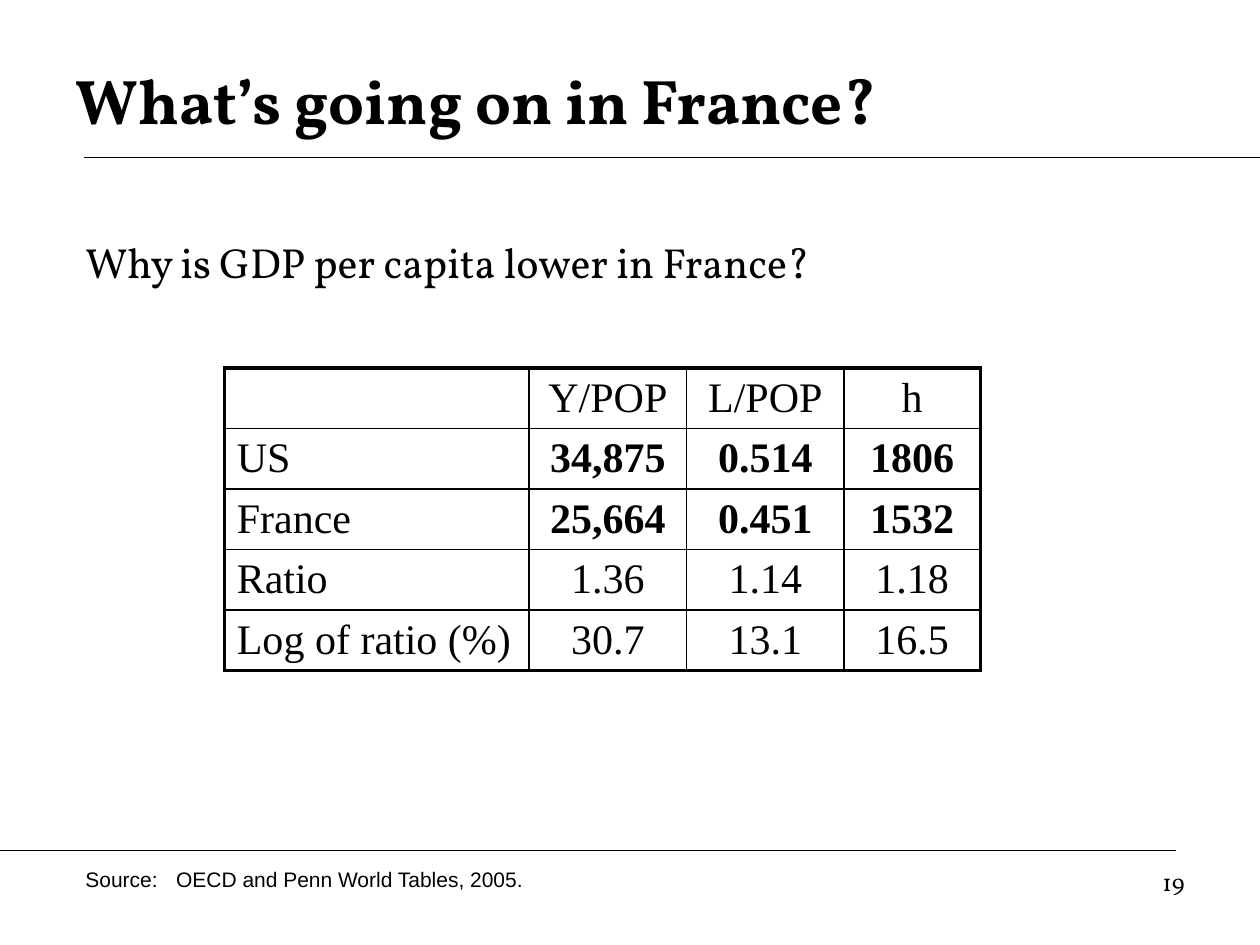
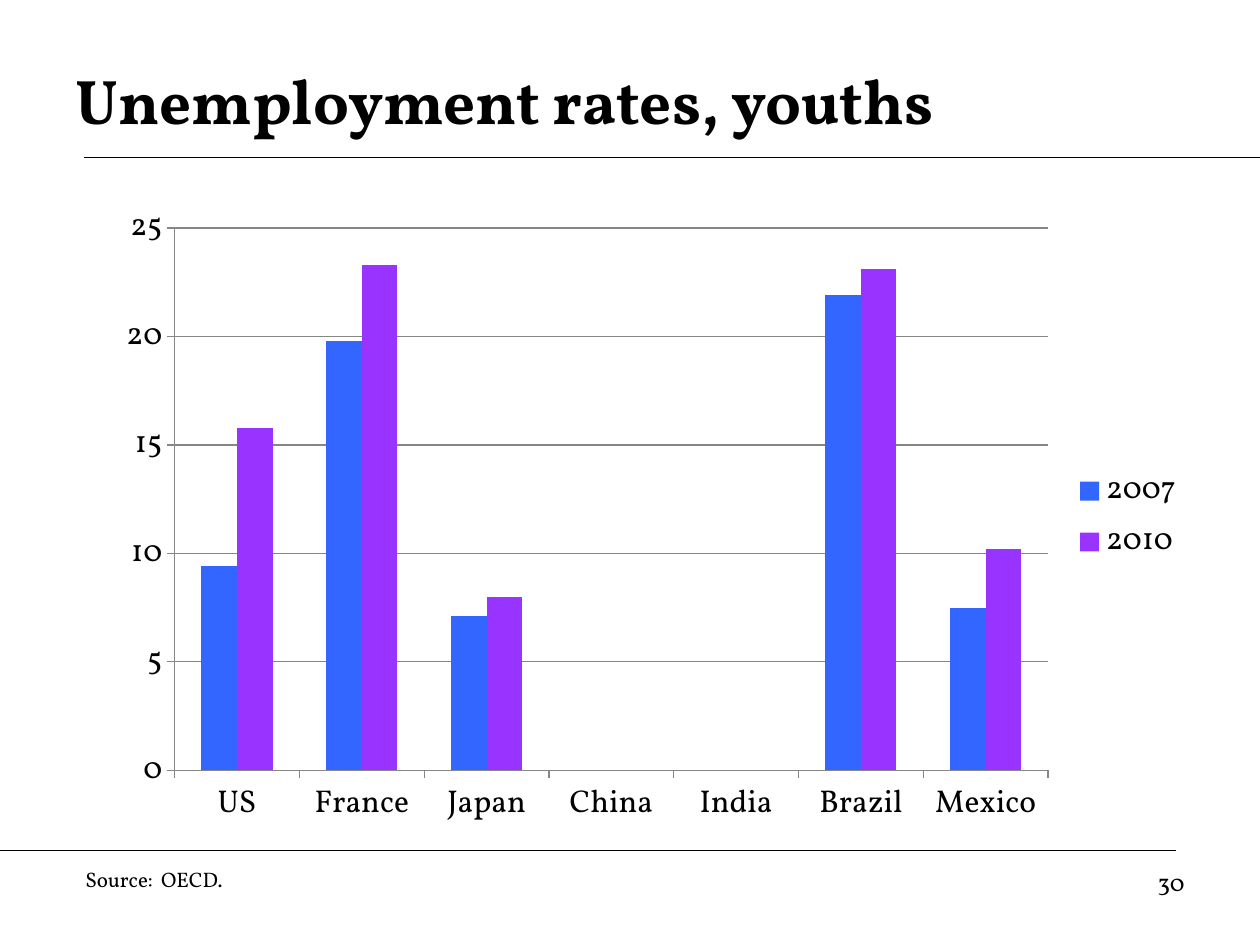
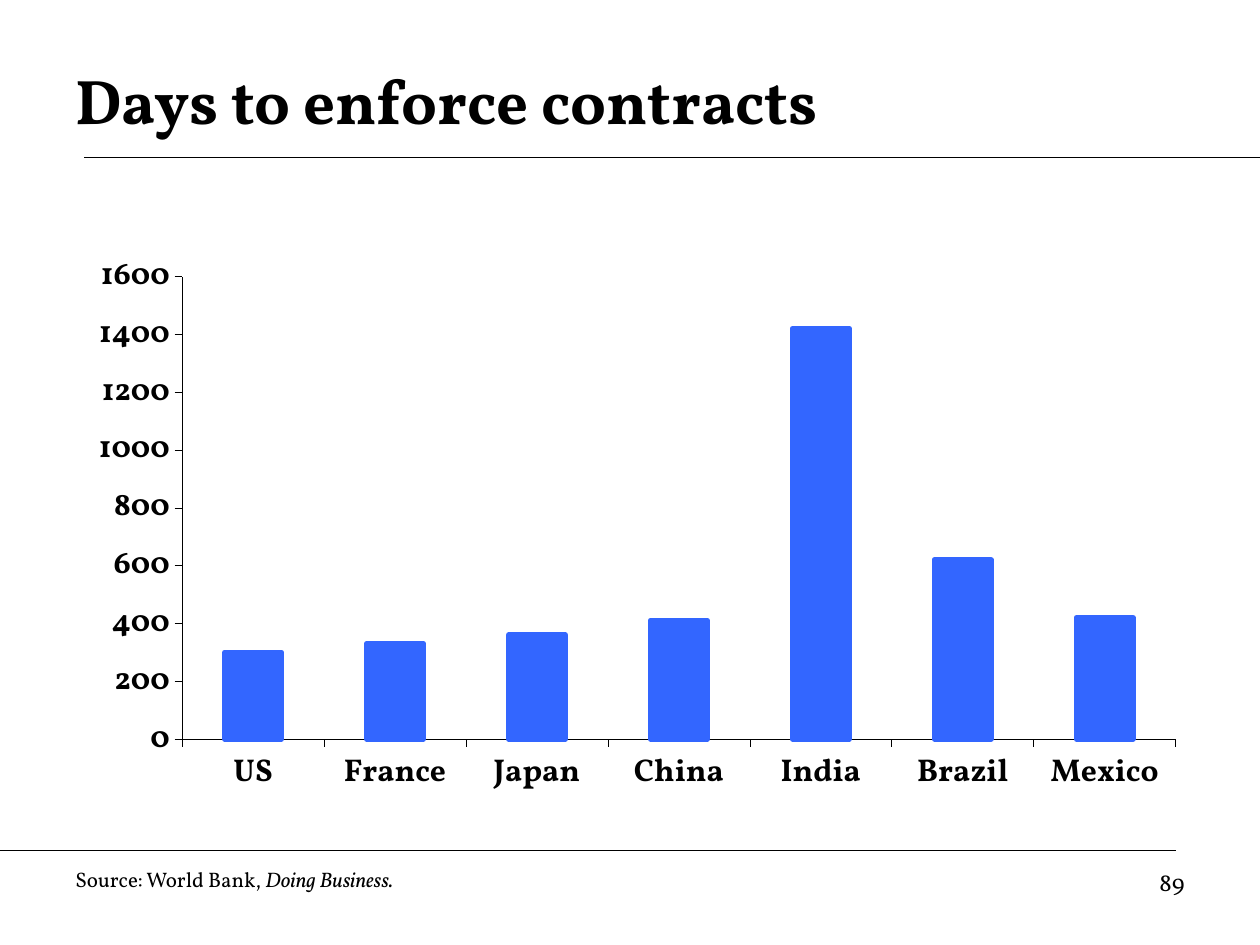
from dataclasses import dataclass
from typing import NamedTuple

from lxml import etree
from pptx import Presentation
from pptx import util as u
from pptx.chart.data import CategoryChartData
from pptx.dml.color import RGBColor
from pptx.enum import chart as charts
from pptx.enum import shapes, text
from pptx.oxml.ns import qn


@dataclass(frozen=True)
class Theme:
    """Colours, fonts and type sizes of the deck."""
    ink: str = "000000"
    grid: str = "868686"
    blue: str = "3366FF"
    purple: str = "9933FF"
    serif: str = "Vollkorn"
    sans: str = "Arial"
    figures: str = "Times New Roman"
    title: int = 36
    body: int = 24
    axis: int = 18
    number: int = 14
    source: int = 12


class Box(NamedTuple):
    """A rectangle in inches."""
    left: float
    top: float
    width: float
    height: float

    def lengths(self):
        """Return the four sides as lengths."""
        return [u.Inches(side) for side in self]

    def inner(self, left, top, width, height):
        """Return a box placed relative to this one."""
        return Box(self.left + left, self.top + top, width, height)


THEME = Theme()
PAGE = Box(0, 0, 10, 7.5)
COUNTRIES = ["US", "France", "Japan", "China", "India", "Brazil", "Mexico"]
GDP_ROWS = [
    ["", "Y/POP", "L/POP", "h"],
    ["US", "34,875", "0.514", "1806"],
    ["France", "25,664", "0.451", "1532"],
    ["Ratio", "1.36", "1.14", "1.18"],
    ["Log of ratio (%)", "30.7", "13.1", "16.5"],
]
GDP_WIDTHS = [2.42, 1.25, 1.25, 1.08]


def style_font(font, size, face=THEME.serif, bold=False, italic=False):
    """Set face, size, weight and colour of a font."""
    font.name = face
    font.size = u.Pt(size)
    font.bold = bold
    font.italic = italic
    font.color.rgb = RGBColor.from_string(THEME.ink)


def style_line(line, colour, points):
    """Give a line a solid colour and a width."""
    line.color.rgb = RGBColor.from_string(colour)
    line.width = u.Pt(points)


def add_text(slide, box, runs, size, face=THEME.serif, bold=False, align=text.PP_ALIGN.LEFT,
             anchor=text.MSO_ANCHOR.TOP, tab=None):
    """Write one paragraph from (words, italic) runs, with an optional tab stop."""
    frame = slide.shapes.add_textbox(*box.lengths()).text_frame
    frame.word_wrap = True
    frame.vertical_anchor = anchor
    paragraph = frame.paragraphs[0]
    paragraph.alignment = align
    if tab:
        stops = etree.SubElement(paragraph._p.get_or_add_pPr(), qn("a:tabLst"))
        etree.SubElement(stops, qn("a:tab"), pos=str(u.Inches(tab)), algn="l")
    for words, italic in runs:
        run = paragraph.add_run()
        run.text = words
        style_font(run.font, size, face, bold, italic)


def add_rule(slide, left, right, top):
    """Draw a thin horizontal rule."""
    rule = slide.shapes.add_connector(shapes.MSO_CONNECTOR.STRAIGHT, u.Inches(left),
                                      u.Inches(top), u.Inches(right), u.Inches(top))
    style_line(rule.line, THEME.ink, 0.75)
    etree.SubElement(rule._element.spPr, qn("a:effectLst"))


def add_header(slide, box, title):
    """Place the title and the rule that runs off to the right."""
    add_rule(slide, box.left + 0.67, box.left + box.width, box.top + 1.25)
    add_text(slide, box.inner(0.5, 0.33, 9, 0.92), [(title, False)], THEME.title, bold=True,
             anchor=text.MSO_ANCHOR.MIDDLE)


def add_footer(slide, box, number, source, indent=0.58, face=THEME.serif, tab=None):
    """Place the lower rule, the source and the page number."""
    add_rule(slide, box.left, box.left + 9.33, box.top)
    add_text(slide, box.inner(indent, 0.08, 6, 0.3), source, THEME.source, face, tab=tab)
    add_text(slide, box.inner(7.17, 0.08, 2.33, 0.52), [(number, False)], THEME.number,
             align=text.PP_ALIGN.RIGHT)


def add_page(deck, title, number, source, **footer):
    """Add a slide with its header and footer."""
    slide = deck.slides.add_slide(deck.slide_layouts[6])
    add_header(slide, PAGE, title)
    add_footer(slide, PAGE.inner(0, 6.75, 10, 0.75), number, source, **footer)
    return slide


def add_borders(cell, outer):
    """Draw the cell's borders, heavy on the sides named in outer."""
    properties = cell._tc.get_or_add_tcPr()
    for place, side in enumerate("LRTB"):
        width = u.Pt(2.25 if side in outer else 1)
        line = etree.Element(qn(f"a:ln{side}"), w=str(width))
        fill = etree.SubElement(line, qn("a:solidFill"))
        etree.SubElement(fill, qn("a:srgbClr"), val=THEME.ink)
        properties.insert(place, line)


def add_gdp_table(slide, box, rows, widths):
    """Build the boxed table with bold country figures."""
    last_row, last_column = len(rows) - 1, len(widths) - 1
    table = slide.shapes.add_table(len(rows), len(widths), *box.lengths()).table
    table.first_row = table.horz_banding = False
    for column, width in zip(table.columns, widths):
        column.width = u.Inches(width)
    for r, row in enumerate(rows):
        table.rows[r].height = u.Inches(box.height / len(rows))
        for c, words in enumerate(row):
            cell = table.cell(r, c)
            cell.fill.background()
            cell.vertical_anchor = text.MSO_ANCHOR.MIDDLE
            cell.margin_top = cell.margin_bottom = u.Inches(0.04)
            edges = {"L": c == 0, "R": c == last_column, "T": r == 0, "B": r == last_row}
            add_borders(cell, [side for side, outside in edges.items() if outside])
            paragraph = cell.text_frame.paragraphs[0]
            paragraph.alignment = text.PP_ALIGN.CENTER if c else text.PP_ALIGN.LEFT
            if words:
                run = paragraph.add_run()
                run.text = words
                style_font(run.font, THEME.body, THEME.figures, bold=c > 0 and r in (1, 2))


def add_columns(slide, box, series, top, step, axis_line, bold=False, grid=False, outline=None):
    """Build a clustered column chart by country from (name, values, colour) series."""
    data = CategoryChartData()
    data.categories = COUNTRIES
    for name, values, _ in series:
        data.add_series(name, values)
    chart = slide.shapes.add_chart(charts.XL_CHART_TYPE.COLUMN_CLUSTERED, *box.lengths(),
                                   data).chart
    chart.has_title = False
    style_font(chart.font, THEME.axis, bold=bold)
    chart.has_legend = len(series) > 1
    if chart.has_legend:
        chart.legend.position = charts.XL_LEGEND_POSITION.RIGHT
        chart.legend.include_in_layout = False
    for axis in (chart.category_axis, chart.value_axis):
        axis.major_tick_mark = charts.XL_TICK_MARK.OUTSIDE
        axis.minor_tick_mark = charts.XL_TICK_MARK.NONE
        style_line(axis.format.line, *axis_line)
        style_font(axis.tick_labels.font, THEME.axis, bold=bold)
    scale = chart.value_axis
    scale.minimum_scale, scale.maximum_scale, scale.major_unit = 0, top, step
    scale.has_major_gridlines = grid
    if grid:
        style_line(scale.major_gridlines.format.line, *axis_line)
    plot = chart.plots[0]
    plot.vary_by_categories = False
    plot.gap_width = 150
    plot.overlap = 0
    for columns, (_, _, colour) in zip(plot.series, series):
        columns.format.fill.solid()
        columns.format.fill.fore_color.rgb = RGBColor.from_string(colour)
        if outline:
            style_line(columns.format.line, colour, outline)
    return chart


def set_plot_area(chart, left, top, width, height):
    """Fix the inner plot area as fractions of the chart."""
    area = chart.element.xpath("c:chart/c:plotArea")[0]
    for automatic in area.findall(qn("c:layout")):
        area.remove(automatic)
    layout = etree.Element(qn("c:layout"))
    manual = etree.SubElement(layout, qn("c:manualLayout"))
    settings = {"layoutTarget": "inner", "xMode": "edge", "yMode": "edge",
                "x": left, "y": top, "w": width, "h": height}
    for tag, value in settings.items():
        etree.SubElement(manual, qn(f"c:{tag}"), val=str(value))
    area.insert(0, layout)


def build_france(deck):
    """Compare GDP per capita in the US and France."""
    slide = add_page(deck, "What’s going on in France?", "19",
                     [("Source:\tOECD and Penn World Tables, 2005.", False)],
                     face=THEME.sans, tab=0.72)
    add_text(slide, PAGE.inner(0.58, 1.83, 6.58, 0.5),
             [("Why is GDP per capita lower in France?", False)], THEME.body)
    add_gdp_table(slide, PAGE.inner(1.78, 2.92, 6, 2.35), GDP_ROWS, GDP_WIDTHS)


def build_unemployment(deck):
    """Chart youth unemployment in two years."""
    slide = add_page(deck, "Unemployment rates, youths", "30",
                     [("Source:\tOECD.", False)], tab=0.6)
    rates = [("2007", [9.4, 19.8, 7.1, None, None, 21.9, 7.5], THEME.blue),
             ("2010", [15.8, 23.3, 8, None, None, 23.1, 10.2], THEME.purple)]
    add_columns(slide, PAGE.inner(0.83, 1.53, 8.67, 5.14), rates, 25, 5,
                (THEME.grid, 0.75), grid=True)


def build_contracts(deck):
    """Chart the days needed to enforce a contract."""
    slide = add_page(deck, "Days to enforce contracts", "89",
                     [("Source: World Bank, ", False), ("Doing Business.", True)], indent=0.5)
    days = [("Series 1", [300, 330, 360, 410, 1420, 620, 420], THEME.blue)]
    chart = add_columns(slide, PAGE.inner(0.56, 1.81, 8.86, 4.83), days, 1600, 200,
                        (THEME.ink, 0.25), bold=True, outline=3)
    set_plot_area(chart, 0.1, 0.08, 0.89, 0.76)


def main():
    """Build and save the deck."""
    deck = Presentation()
    deck.slide_width, deck.slide_height = u.Inches(PAGE.width), u.Inches(PAGE.height)
    for build in (build_france, build_unemployment, build_contracts):
        build(deck)
    deck.save("out.pptx")


if __name__ == "__main__":
    main()
